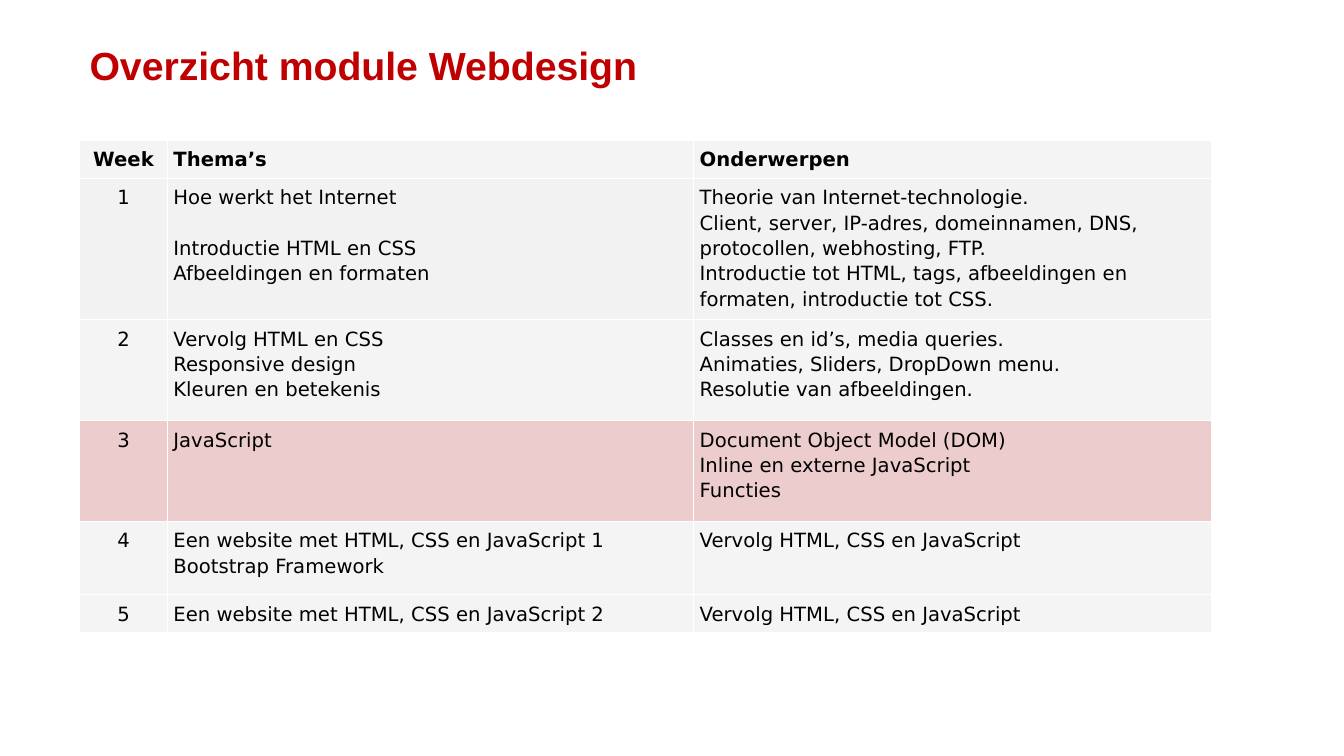
from dataclasses import dataclass

from lxml.etree import SubElement
from pptx import Presentation
from pptx.dml.color import RGBColor
from pptx.enum.text import MSO_ANCHOR as Anchor, PP_ALIGN as Align
from pptx.oxml.ns import qn
from pptx.util import Pt

EMU_PER_PX = 9144
COLUMN_WIDTHS = (87, 522, 514)
CELL_MARGIN = 6
BORDER = "FFFFFF"
LIGHT, SOFT, CURRENT = "F4F4F4", "F2F2F2", "ECCCCD"


@dataclass(frozen=True)
class Week:
    """One row of the module overview; gap_before is a theme that follows a blank line."""

    height: int
    fill: str
    number: str
    themes: str
    topics: str
    bold: bool = False
    gap_before: str = ""


WEEKS = (
    Week(34, LIGHT, "Week", "Thema’s", "Onderwerpen", bold=True),
    Week(
        121, SOFT, "1",
        "Hoe werkt het Internet\nIntroductie HTML en CSS\nAfbeeldingen en formaten",
        "Theorie van Internet-technologie.\n"
        "Client, server, IP-adres, domeinnamen, DNS, protocollen, webhosting, FTP.\n"
        "Introductie tot HTML, tags, afbeeldingen en formaten, introductie tot CSS.",
        gap_before="Introductie HTML en CSS",
    ),
    Week(
        100, LIGHT, "2",
        "Vervolg HTML en CSS\nResponsive design\nKleuren en betekenis",
        "Classes en id’s, media queries.\nAnimaties, Sliders, DropDown menu.\n"
        "Resolutie van afbeeldingen.",
    ),
    Week(
        100, CURRENT, "3", "JavaScript",
        "Document Object Model (DOM)\nInline en externe JavaScript\nFuncties",
    ),
    Week(
        73, LIGHT, "4",
        "Een website met HTML, CSS en JavaScript 1\nBootstrap Framework",
        "Vervolg HTML, CSS en JavaScript",
    ),
    Week(
        34, LIGHT, "5", "Een website met HTML, CSS en JavaScript 2",
        "Vervolg HTML, CSS en JavaScript",
    ),
)


def px(length: int) -> int:
    """Turn px into EMU."""
    return length * EMU_PER_PX


def color(value: str) -> RGBColor:
    """Turn a hex string into a colour."""
    return RGBColor.from_string(value)


def style_font(font, name: str, size: int, ink: str, bold: bool) -> None:
    """Set the look of a font."""
    font.name, font.size, font.bold = name, Pt(size), bold
    font.color.rgb = color(ink)


def add_title(slide, wording: str) -> None:
    """Write the slide title."""
    title = slide.shapes.add_textbox(px(79), px(31), px(1024), px(118)).text_frame
    title.word_wrap = True
    title.vertical_anchor = Anchor.TOP
    title.margin_top = px(10)
    title.text = wording
    style_font(title.paragraphs[0].runs[0].font, "Arial", 28, "C00000", True)


def add_borders(cell) -> None:
    """Draw a thin line on all four sides of a cell."""
    properties = cell._tc.get_or_add_tcPr()
    for side in ("lnL", "lnR", "lnT", "lnB"):
        line = SubElement(properties, qn(f"a:{side}"), w=str(Pt(1)))
        SubElement(SubElement(line, qn("a:solidFill")), qn("a:srgbClr"), val=BORDER)


def fill_cell(cell, wording: str, week: Week, align: Align) -> None:
    """Write and style one cell of a week."""
    add_borders(cell)
    cell.fill.solid()
    cell.fill.fore_color.rgb = color(week.fill)
    cell.margin_left = cell.margin_right = px(CELL_MARGIN)
    cell.margin_top = cell.margin_bottom = px(CELL_MARGIN)
    cell.text_frame.text = wording
    for paragraph in cell.text_frame.paragraphs:
        paragraph.alignment = align
        paragraph.line_spacing = 1.1
        if paragraph.text == week.gap_before:
            paragraph.space_before = Pt(18)
        for run in paragraph.runs:
            style_font(run.font, "DejaVu Sans", 14, "000000", week.bold)


def add_overview(slide) -> None:
    """Draw the table of weeks, themes and topics."""
    overview = slide.shapes.add_table(
        len(WEEKS), len(COLUMN_WIDTHS), px(79), px(139),
        px(sum(COLUMN_WIDTHS)), px(sum(week.height for week in WEEKS)),
    ).table
    overview.first_row = overview.horz_banding = False
    for column, width in zip(overview.columns, COLUMN_WIDTHS):
        column.width = px(width)
    for row, week in zip(overview.rows, WEEKS):
        row.height = px(week.height)
        wordings = (week.number, week.themes, week.topics)
        aligns = (Align.CENTER, Align.LEFT, Align.LEFT)
        for cell, wording, align in zip(row.cells, wordings, aligns):
            fill_cell(cell, wording, week, align)


def main() -> None:
    """Build and save the slide."""
    deck = Presentation()
    deck.slide_width, deck.slide_height = px(1333), px(750)
    slide = deck.slides.add_slide(deck.slide_layouts[6])
    add_title(slide, "Overzicht module Webdesign")
    add_overview(slide)
    deck.save("out.pptx")


if __name__ == "__main__":
    main()
